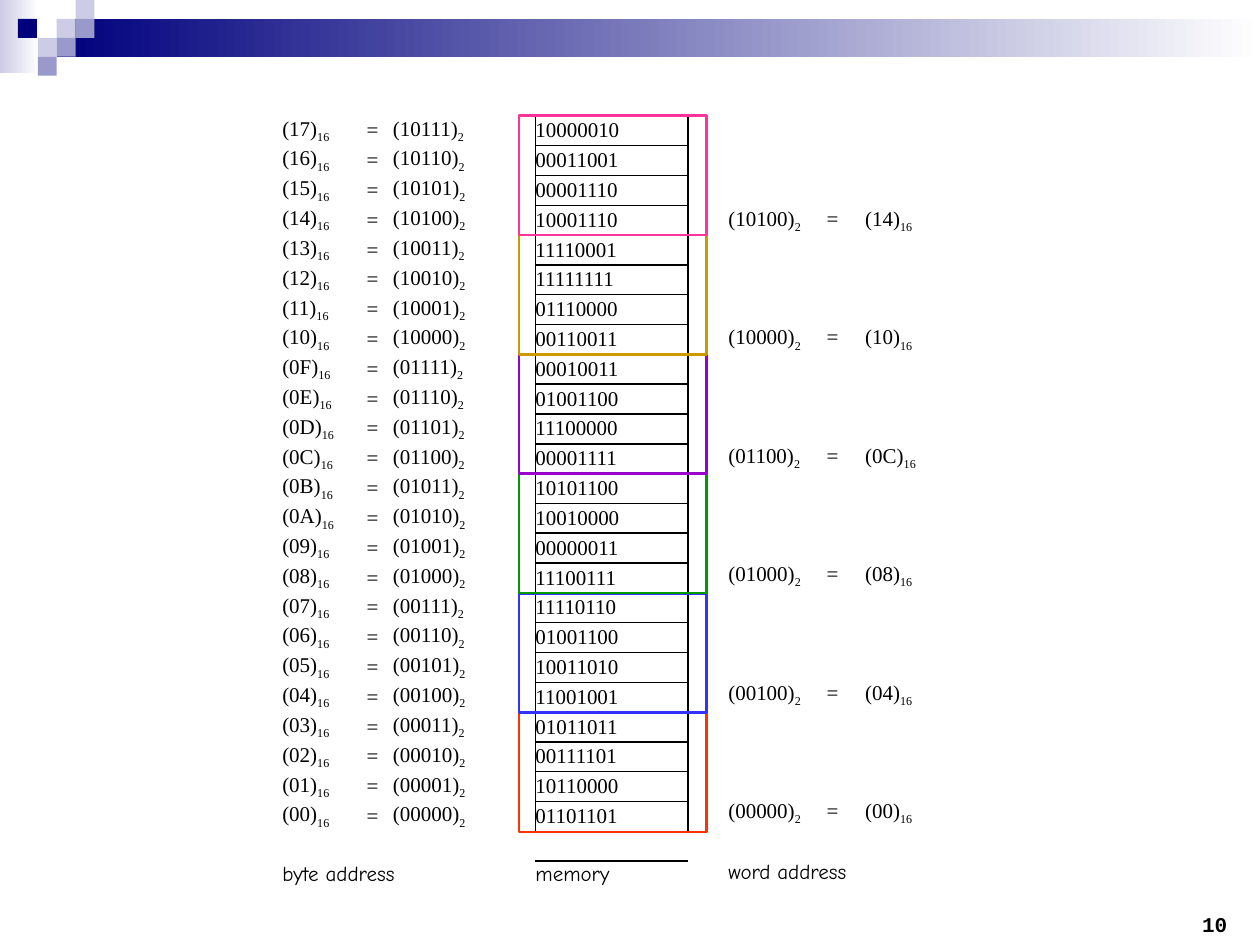
from pptx import Presentation
from pptx.util import Pt
from pptx.dml.color import RGBColor as RGB
from pptx.enum.shapes import MSO_SHAPE as Shape
from pptx.enum.text import MSO_ANCHOR as Anchor, PP_ALIGN as Align
from pptx.oxml.ns import qn
from lxml.etree import SubElement as Sub

BLACK = RGB(0, 0, 0)
WHITE = RGB(255, 255, 255)
NAVY = RGB(0, 0, 0x7D)
PALE = RGB(0xCC, 0xCC, 0xE6)
MID = RGB(0x99, 0x99, 0xCC)
WORDS = [RGB(0xFF, 0x33, 0x99), RGB(0xCC, 0x99, 0), RGB(0x99, 0, 0xCC),
         RGB(0, 0x99, 0), RGB(0x33, 0x33, 0xFF), RGB(0xFF, 0x33, 0)]
SERIF = "Times New Roman"
COMIC = "Comic Neue"
PLAIN = "{2D5ABB26-0587-4C30-8999-92F81FD0307C}"
BYTES = """10000010 00011001 00001110 10001110 11110001 11111111
01110000 00110011 00010011 01001100 11100000 00001111
10101100 10010000 00000011 11100111 11110110 01001100
10011010 11001001 01011011 00111101 10110000 01101101""".split()
ADDRS = range(len(BYTES) - 1, -1, -1)


def rect(group, x, y, w, h):
    box = group.shapes.add_shape(Shape.RECTANGLE, Pt(x), Pt(y), Pt(w), Pt(h))
    box.shadow.inherit = False
    return box


def fade(group, x, y, w, h, color):
    box = rect(group, x, y, w, h)
    box.line.fill.background()
    box.fill.gradient()
    box.fill.gradient_angle = 0
    for stop, tone, pos in zip(box.fill.gradient_stops, (color, WHITE), (0, 1)):
        stop.color.rgb = tone
        stop.position = pos


def header(slide, x, y, w):
    group = slide.shapes.add_group_shape()
    side = 10.8
    fade(group, x, y, 22.3, 41.8, PALE)
    fade(group, x + 3 * side, y + side, w - 3 * side, 21.6, NAVY)
    tiles = [(3, 1, PALE), (4, 0, PALE), (4, 1, MID), (2, 2, PALE),
             (0.95, 1, NAVY), (3, 2, MID), (2, 3, MID)]
    for col, row, color in tiles:
        tile = rect(group, x + col * side, y + row * side, side, side)
        tile.fill.solid()
        tile.fill.fore_color.rgb = color
        tile.line.fill.background()


def style(font, face, bold=False):
    font.name = face
    font.size = Pt(12)
    font.bold = bold
    font.color.rgb = BLACK


def write(cell, parts, face=SERIF, tabs=()):
    para = cell.text_frame.paragraphs[0]
    para.space_before = Pt(2.4)
    if tabs:
        stops = Sub(para._p.get_or_add_pPr(), qn("a:tabLst"))
        for pos in tabs:
            Sub(stops, qn("a:tab"), pos=str(Pt(pos)), algn="l")
    for i, text in enumerate(parts):
        run = para.add_run()
        run.text = text
        style(run.font, face)
        if i % 2:
            run.font._element.set("baseline", "-25000")


def edge(cell, sides):
    props = cell._tc.get_or_add_tcPr()
    for side in sides:
        line = Sub(props, qn("a:ln" + side), w=str(Pt(1)))
        fill = Sub(line, qn("a:solidFill"))
        Sub(fill, qn("a:srgbClr"), val=str(BLACK))


def grid(slide, x, y, cols, rows):
    frame = slide.shapes.add_table(len(rows), len(cols), Pt(x), Pt(y),
                                   Pt(sum(cols)), Pt(sum(rows)))
    table = frame.table
    table.first_row = table.horz_banding = False
    table._tbl.tblPr.find(qn("a:tableStyleId")).text = PLAIN
    for col, w in zip(table.columns, cols):
        col.width = Pt(w)
    for row, h in zip(table.rows, rows):
        row.height = Pt(h)
    for cell in table.iter_cells():
        cell.margin_left = cell.margin_right = 0
        cell.margin_top = cell.margin_bottom = 0
        cell.vertical_anchor = Anchor.MIDDLE
        para = cell.text_frame.paragraphs[0]
        para._p.get_or_add_endParaRPr().set("sz", "1200")
    return table


def memory(slide, x, y):
    rows = [17.05] * 25 + [15.1]
    table = grid(slide, x, y, [48.2, 15.1, 69.8, 11.6, 87.1], rows)
    last = len(BYTES)
    for row, (addr, byte) in enumerate(zip(ADDRS, BYTES)):
        write(table.cell(row, 0), [f"({addr:02X})", "16"])
        write(table.cell(row, 1), ["="])
        write(table.cell(row, 2), [f"({addr:05b})", "2"])
        write(table.cell(row, 4), [byte])
        edge(table.cell(row, 3), "R")
        edge(table.cell(row, 4), "LRTB")
    edge(table.cell(last, 4), "T")
    for row in (last, last + 1):
        table.cell(row, 0).merge(table.cell(row, 2))
    write(table.cell(last + 1, 0), ["byte address"], COMIC)
    write(table.cell(last + 1, 4), ["memory"], COMIC)
    for cell in table.iter_cells():
        cell.fill.background()


def frames(slide, x, y, w, h):
    group = slide.shapes.add_group_shape()
    for i in reversed(range(len(WORDS))):
        box = rect(group, x, y + i * h, w, h)
        box.fill.background()
        box.line.color.rgb = WORDS[i]
        box.line.width = Pt(1.5)


def words(slide, x, y):
    table = grid(slide, x, y, [113.8], [16.95] * 26)
    for row, addr in enumerate(ADDRS):
        if addr % 4 == 0:
            parts = [f"({addr:05b})", "2", f"\t=\t({addr:02X})", "16"]
            write(table.cell(row, 0), parts, tabs=(56.2, 78.2))
    write(table.cell(25, 0), ["word address"], COMIC)
    for cell in table.iter_cells():
        cell.fill.background()


def number(slide, x, y, w, h):
    box = slide.shapes.add_textbox(Pt(x), Pt(y), Pt(w), Pt(h))
    text = box.text_frame
    text.margin_left = text.margin_right = 0
    text.margin_top = text.margin_bottom = 0
    text.word_wrap = True
    text.vertical_anchor = Anchor.MIDDLE
    text.text = "10"
    para = text.paragraphs[0]
    para.alignment = Align.CENTER
    style(para.runs[0].font, "Courier New", True)


deck = Presentation()
deck.slide_width, deck.slide_height = Pt(720), Pt(540)
slide = deck.slides.add_slide(deck.slide_layouts[6])
header(slide, 0, 0, 720)
number(slide, 668.9, 519.8, 50.4, 16.6)
memory(slide, 161.3, 66.2)
frames(slide, 296.6, 66.2, 107.3, 68.2)
words(slide, 416.2, 67)
deck.save("out.pptx")
